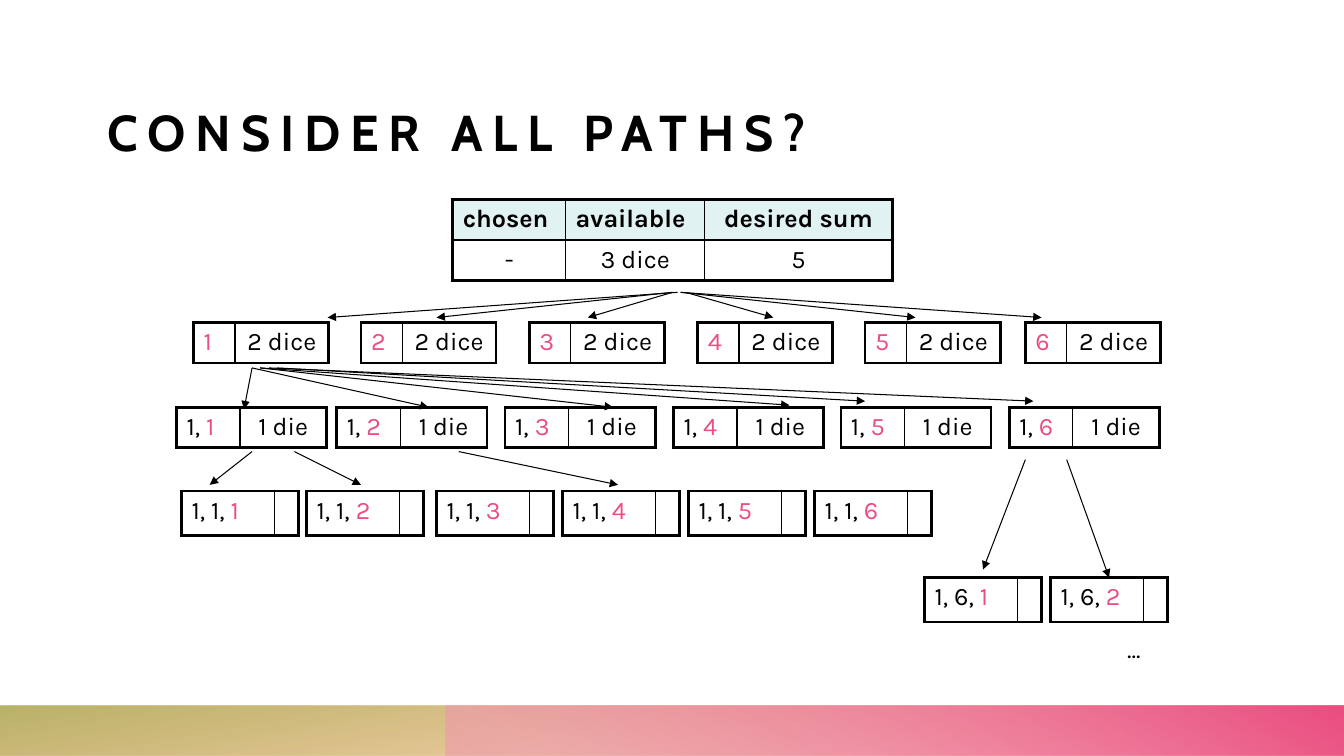
from lxml import etree
from pptx import Presentation
from pptx.dml.color import RGBColor
from pptx.enum.shapes import MSO_CONNECTOR, MSO_SHAPE
from pptx.enum.text import MSO_ANCHOR, PP_ALIGN
from pptx.oxml.ns import qn
from pptx.util import Emu, Pt

PX = 9144  # EMU per px, 100 px to the inch
LEFT, CENTER = PP_ALIGN.LEFT, PP_ALIGN.CENTER
BOTTOM = MSO_ANCHOR.BOTTOM
STRAIGHT, RECT = MSO_CONNECTOR.STRAIGHT, MSO_SHAPE.RECTANGLE

BLACK = RGBColor(0x00, 0x00, 0x00)
PINK = RGBColor(0xEB, 0x4E, 0x81)
PALE_PINK = RGBColor(0xF3, 0x95, 0xB3)
ORANGE = RGBColor(0xE8, 0x8F, 0x33)
OLIVE = RGBColor(0xAC, 0xA5, 0x4F)
MINT = RGBColor(0xE1, 0xF2, 0xF3)


def px(*values):
    return [Emu(v * PX) for v in values]


class DiceSlide:
    heading_font, body_font = "Cabin", "Karla"
    outer, inner, thin = Pt(2.25), Pt(1), Pt(0.75)

    def __init__(self, prs):
        self.s = prs.slides.add_slide(prs.slide_layouts[6])

    def runs(self, p, parts, size=18, font=None, bold=False):
        """Add (text, colour) parts to a paragraph."""
        for text, color in parts:
            r = p.add_run()
            r.text = text
            r.font.name = font or self.body_font
            r.font.size = Pt(size)
            r.font.bold = bold
            r.font.color.rgb = color

    def text(self, box, text, size=18, font=None, bold=False, spacing=0):
        sp = self.s.shapes.add_textbox(*px(*box))
        tf = sp.text_frame
        self.runs(tf.paragraphs[0], [(text, BLACK)], size, font, bold)
        if spacing:
            tf.paragraphs[0].runs[0].font._element.set("spc", str(spacing * 100))
        return tf

    def band(self, box, stops, angle):
        """Gradient bar; stops are (position, colour, opacity) in percent."""
        sp = self.s.shapes.add_shape(RECT, *px(*box))
        sp.shadow.inherit = False
        sp.line.fill.background()
        sp.fill.gradient()
        sp.fill.gradient_angle = angle
        for stop, (position, color, _) in zip(sp.fill.gradient_stops, stops):
            stop.position = position / 100
            stop.color.rgb = color
        colors = sp._element.spPr.iter(qn("a:srgbClr"))
        for clr, (_, _, opacity) in zip(list(colors), stops):
            etree.SubElement(clr, qn("a:alpha"), val=str(opacity * 1000))

    def arrow(self, start, end):
        c = self.s.shapes.add_connector(STRAIGHT, *px(*start, *end))
        c.line.width = self.thin
        c.line.color.rgb = BLACK
        etree.SubElement(c.line._get_or_add_ln(), qn("a:tailEnd"), type="triangle")
        etree.SubElement(c._element.spPr, qn("a:effectLst"))

    def border(self, cell, side, width):
        ln = etree.SubElement(cell._tc.get_or_add_tcPr(), qn("a:ln" + side), w=str(width))
        fill = etree.SubElement(ln, qn("a:solidFill"))
        etree.SubElement(fill, qn("a:srgbClr"), val=str(BLACK))

    def table(self, left, top, widths, height, rows, header=None):
        """Rows hold cells of (parts, alignment); the frame is heavier than the grid."""
        n_rows, n_cols = len(rows), len(widths)
        frame = self.s.shapes.add_table(
            n_rows, n_cols, *px(left, top, sum(widths), height * n_rows))
        t = frame.table
        t.first_row = t.horz_banding = False
        for col, width in zip(t.columns, widths):
            col.width = Emu(width * PX)
        for i, row in enumerate(rows):
            for j, (parts, align) in enumerate(row):
                cell = t.cell(i, j)
                edges = {"L": j == 0, "R": j == n_cols - 1,
                         "T": i == 0, "B": i == n_rows - 1}
                for side, outside in edges.items():
                    self.border(cell, side, self.outer if outside else self.inner)
                is_header = header is not None and i == 0
                if is_header:
                    cell.fill.solid()
                    cell.fill.fore_color.rgb = header
                else:
                    cell.fill.background()
                p = cell.text_frame.paragraphs[0]
                p.alignment = align
                self.runs(p, parts, bold=is_header)

    def level(self, lefts, top, widths, height, prefix, remaining):
        """One level of the tree: a node for each value of the next die."""
        for die, left in enumerate(lefts, 1):
            chosen = [(prefix, BLACK)] if prefix else []
            chosen.append((str(die), PINK))
            left_over = [(remaining, BLACK)] if remaining else []
            self.table(left, top, widths, height, [[(chosen, LEFT), (left_over, CENTER)]])


def main():
    prs = Presentation()
    prs.slide_width, prs.slide_height = px(1333, 750)
    d = DiceSlide(prs)

    # Footer bands
    d.band((0, 700, 1333, 50), [(14, ORANGE, 28), (100, OLIVE, 85)], 100)
    d.band((442, 700, 891, 50), [(9, PALE_PINK, 55), (99, PINK, 100)], 60)

    # Title
    tf = d.text((107, 86, 1120, 74), "CONSIDER ALL PATHS?", 36, d.heading_font, True, 7)
    tf.word_wrap = True
    tf.vertical_anchor = BOTTOM
    tf.margin_left = tf.margin_top = tf.margin_right = tf.margin_bottom = 0

    # Root of the tree
    header = [("chosen", LEFT), ("available", LEFT), ("desired sum", CENTER)]
    start = [(text, CENTER) for text in ("-", "3 dice", "5")]
    root = [[([(text, BLACK)], align) for text, align in row] for row in (header, start)]
    d.table(449, 198, (112, 138, 186), 40, root, MINT)

    # Levels: left edges, top, column widths, height, prefix, remaining dice
    leaf = (92, 23)
    d.level((192, 358, 525, 692, 858, 1017), 320, (41, 93), 40, "", "2 dice")
    d.level((175, 334, 501, 668, 834, 1001), 404, (63, 86), 40, "1, ", "1 die")
    d.level((180, 304, 433, 558, 683, 808), 487, leaf, 44, "1, 1, ", "")
    d.level((917, 1042), 573, leaf, 44, "1, 6, ", "")

    # Root to first die
    for x1, x2 in ((672, 325), (667, 433), (667, 583), (680, 767), (675, 908), (675, 1033)):
        d.arrow((x1, 290), (x2, 315))

    # First die to second die
    for x1, x2, y2 in ((250, 242, 406), (250, 425, 404), (258, 608, 404),
                       (258, 783, 402), (275, 858, 398), (267, 1025, 398)):
        d.arrow((x1, 365), (x2, y2))

    # Second die to third die
    for x1, x2 in ((250, 208), (292, 358), (455, 613)):
        d.arrow((x1, 448), (x2, 481))
    for x1, x2, y2 in ((1017, 975, 565), (1058, 1100, 573)):
        d.arrow((x1, 456), (x2, y2))

    # More paths follow
    d.text((1108, 623, 43, 40), "...").word_wrap = False

    prs.save("out.pptx")


if __name__ == "__main__":
    main()
